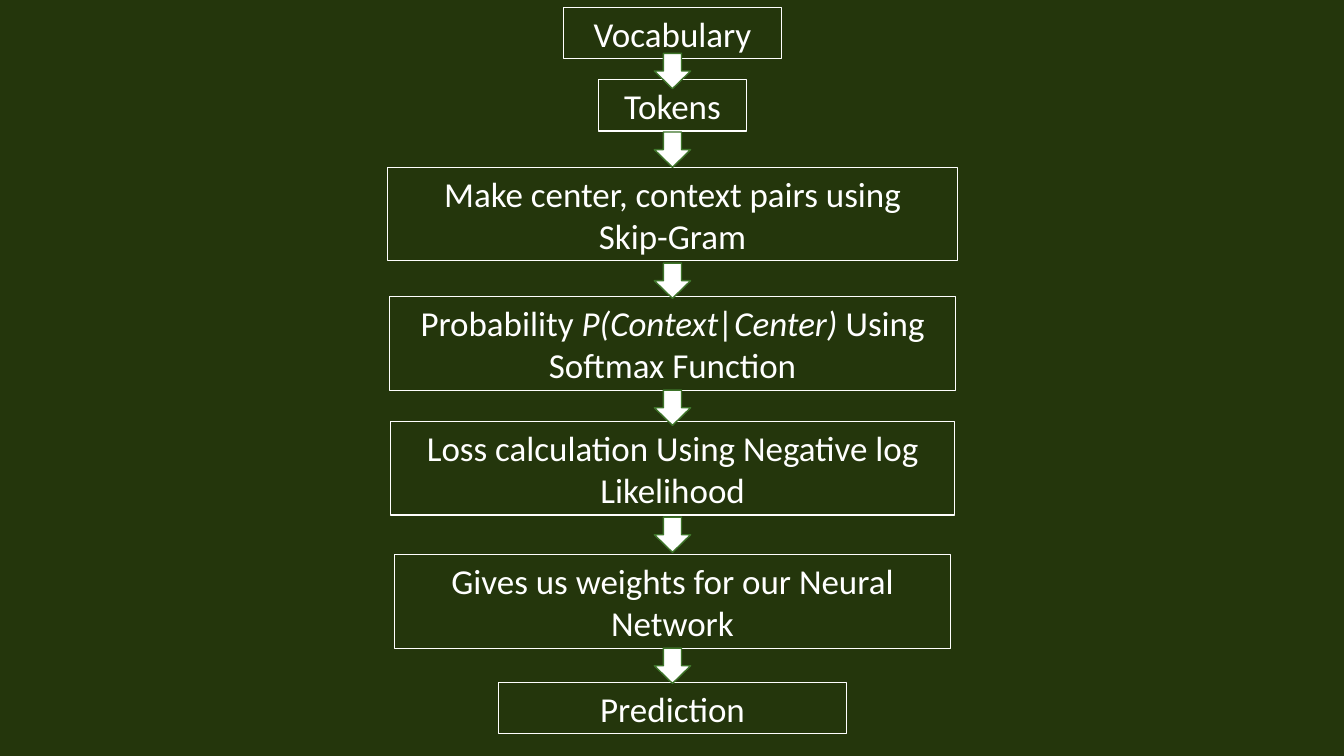
from pptx import Presentation
from pptx.dml.color import RGBColor
from pptx.enum.shapes import MSO_SHAPE
from pptx.enum.text import MSO_ANCHOR, PP_ALIGN
from pptx.util import Inches, Pt

STEPS = [
    (0.07, 2.16, [[("Vocabulary", False)]]),
    (0.79, 1.46, [[("Tokens", False)]]),
    (1.66, 5.65, [[("Make center, context pairs using", False)],
                  [("Skip-Gram", False)]]),
    (2.94, 5.62, [[("Probability ", False), ("P(Context|Center)", True),
                   (" Using Softmax Function", False)]]),
    (4.18, 5.59, [[("Loss calculation Using Negative log Likelihood", False)]]),
    (5.5, 5.52, [[("Gives us weights for our Neural Network", False)]]),
    (6.77, 3.46, [[("Prediction", False)]]),
]
ARROWS = [0.53, 1.31, 2.61, 3.87, 5.13, 6.43]

WIDTH, HEIGHT = 13.33, 7.5
MIDDLE = 6.67
WIDE = 5
SHORT, TALL = 0.51, 0.93
ARROW_W, ARROW_H = 0.36, 0.35

WHITE = RGBColor(0xFF, 0xFF, 0xFF)
GREEN = RGBColor(0x3E, 0x74, 0x2A)
DARK = RGBColor(0x24, 0x36, 0x0C)

RECT = MSO_SHAPE.RECTANGLE
DOWN = MSO_SHAPE.DOWN_ARROW
CENTER = PP_ALIGN.CENTER
TOP = MSO_ANCHOR.TOP


def add_part(slide, kind, top, width, height, color, weight):
    part = slide.shapes.add_shape(
        kind, Inches(MIDDLE - width / 2), Inches(top),
        Inches(width), Inches(height))
    part.shadow.inherit = False
    part.line.color.rgb = color
    part.line.width = Pt(weight)
    return part


def add_step(slide, top, width, lines):
    height = TALL if width > WIDE else SHORT
    box = add_part(slide, RECT, top, width, height, WHITE, 0.75)
    box.fill.background()
    frame = box.text_frame
    frame.word_wrap = True
    frame.vertical_anchor = TOP
    for index, line in enumerate(lines):
        para = frame.add_paragraph() if index else frame.paragraphs[0]
        para.alignment = CENTER
        for text, slant in line:
            run = para.add_run()
            run.text = text
            run.font.name = "Calibri"
            run.font.size = Pt(25)
            run.font.italic = slant
            run.font.color.rgb = WHITE


def main():
    deck = Presentation()
    deck.slide_width = Inches(WIDTH)
    deck.slide_height = Inches(HEIGHT)
    slide = deck.slides.add_slide(deck.slide_layouts[6])
    slide.background.fill.solid()
    slide.background.fill.fore_color.rgb = DARK

    for top, width, lines in STEPS:
        add_step(slide, top, width, lines)

    for top in ARROWS:
        arrow = add_part(slide, DOWN, top, ARROW_W, ARROW_H, GREEN, 1)
        arrow.fill.solid()
        arrow.fill.fore_color.rgb = WHITE

    deck.save("out.pptx")


if __name__ == "__main__":
    main()
